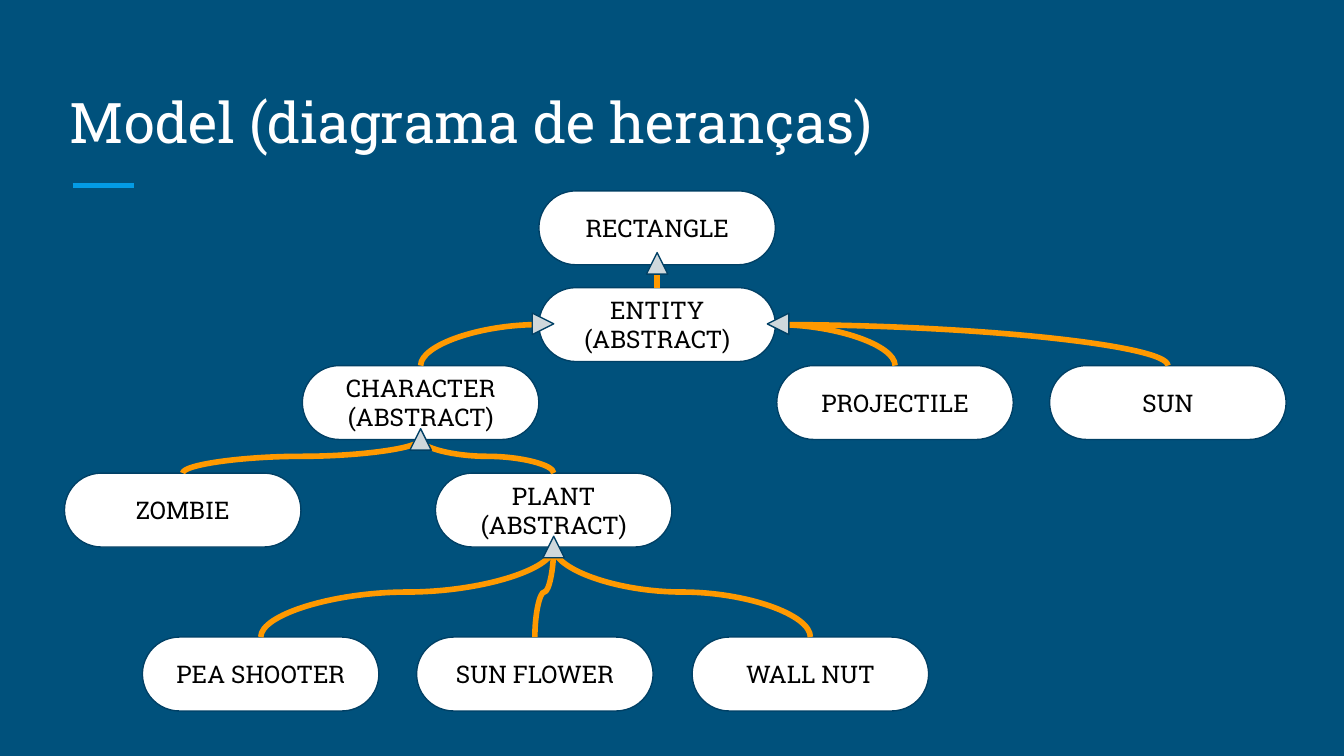
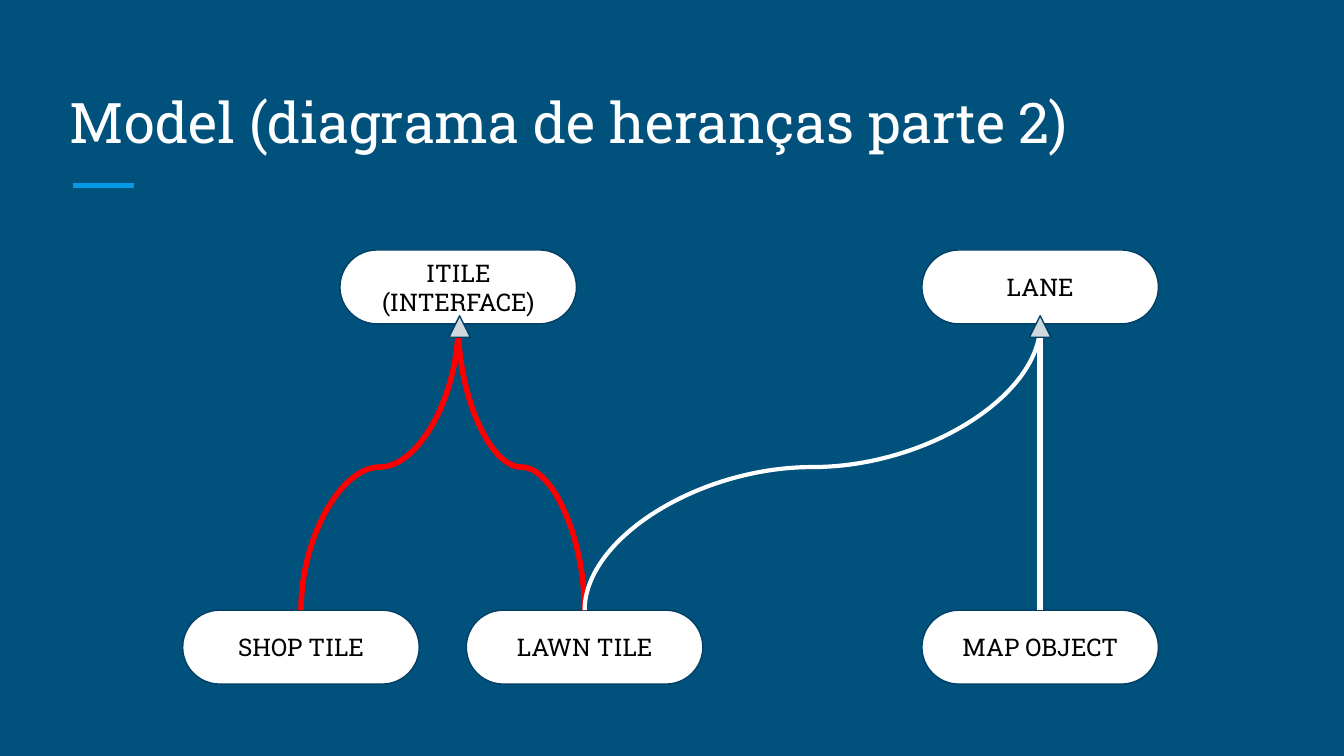
from lxml import etree
from pptx import Presentation
from pptx.dml.color import RGBColor
from pptx.enum.shapes import MSO_CONNECTOR, MSO_SHAPE
from pptx.enum.text import MSO_ANCHOR, MSO_AUTO_SIZE, PP_ALIGN
from pptx.oxml.ns import qn
from pptx.util import Inches, Pt

STRAIGHT, CURVE = MSO_CONNECTOR.STRAIGHT, MSO_CONNECTOR.CURVE
PILL, TRIANGLE = MSO_SHAPE.ROUNDED_RECTANGLE, MSO_SHAPE.ISOSCELES_TRIANGLE
LEFT, CENTER = PP_ALIGN.LEFT, PP_ALIGN.CENTER
MIDDLE, BOTTOM = MSO_ANCHOR.MIDDLE, MSO_ANCHOR.BOTTOM
NO_AUTOFIT = MSO_AUTO_SIZE.NONE

FONT = "Roboto Slab"
NAVY = RGBColor(0x00, 0x51, 0x7C)
DARK_NAVY = RGBColor(0x00, 0x40, 0x65)
SKY = RGBColor(0x03, 0x9B, 0xE5)
ORANGE = RGBColor(0xFF, 0x99, 0x00)
RED = RGBColor(0xFF, 0x00, 0x00)
GRAY = RGBColor(0xCF, 0xD8, 0xDC)
WHITE = RGBColor(0xFF, 0xFF, 0xFF)
BLACK = RGBColor(0x00, 0x00, 0x00)

PILL_WIDTH, PILL_HEIGHT = 1.76, 0.55
ARROW_SIZE = 0.16
SIDE_TOP, SIDE_LEFT, SIDE_BOTTOM, SIDE_RIGHT = range(4)

DIAGRAMS = [
    {
        "title": "Model (diagrama de heranças)",
        "classes": {
            "RECTANGLE": (4.01, 1.42),
            "ENTITY (ABSTRACT)": (4.01, 2.14),
            "CHARACTER (ABSTRACT)": (2.25, 2.72),
            "PLANT (ABSTRACT)": (3.24, 3.52),
            "ZOMBIE": (0.48, 3.52),
            "PROJECTILE": (5.78, 2.72),
            "SUN": (7.81, 2.72),
            "PEA SHOOTER": (1.06, 4.74),
            "SUN FLOWER": (3.1, 4.74),
            "WALL NUT": (5.15, 4.74),
        },
        "links": [
            ("CHARACTER (ABSTRACT)", "ENTITY (ABSTRACT)", SIDE_LEFT, ORANGE, 3),
            ("ENTITY (ABSTRACT)", "RECTANGLE", SIDE_BOTTOM, ORANGE, 3),
            ("PROJECTILE", "ENTITY (ABSTRACT)", SIDE_RIGHT, ORANGE, 3),
            ("SUN", "ENTITY (ABSTRACT)", SIDE_RIGHT, ORANGE, 3),
            ("WALL NUT", "PLANT (ABSTRACT)", SIDE_BOTTOM, ORANGE, 3),
            ("SUN FLOWER", "PLANT (ABSTRACT)", SIDE_BOTTOM, ORANGE, 3),
            ("PEA SHOOTER", "PLANT (ABSTRACT)", SIDE_BOTTOM, ORANGE, 3),
            ("ZOMBIE", "CHARACTER (ABSTRACT)", SIDE_BOTTOM, ORANGE, 3),
            ("PLANT (ABSTRACT)", "CHARACTER (ABSTRACT)", SIDE_BOTTOM, ORANGE, 3),
        ],
        "arrows": [(4.81, 1.88, 0), (3.05, 3.19, 0), (4.04, 3.99, 0),
                   (3.96, 2.33, 90), (5.71, 2.33, 270)],
    },
    {
        "title": "Model (diagrama de heranças parte 2)",
        "classes": {
            "SHOP TILE": (1.36, 4.54),
            "MAP OBJECT": (6.86, 4.54),
            "LAWN TILE": (3.47, 4.54),
            "LANE": (6.86, 1.86),
            "ITILE\n(INTERFACE)": (2.53, 1.86),
        },
        "links": [
            ("LAWN TILE", "ITILE\n(INTERFACE)", SIDE_BOTTOM, RED, 3),
            ("SHOP TILE", "ITILE\n(INTERFACE)", SIDE_BOTTOM, RED, 3),
            ("LAWN TILE", "LANE", SIDE_BOTTOM, WHITE, 2.25),
            ("MAP OBJECT", "LANE", SIDE_BOTTOM, WHITE, 3),
        ],
        "arrows": [(3.34, 2.35, 0), (7.66, 2.35, 0)],
    },
]


def write_text(shape, text, size, color, align, anchor):
    frame = shape.text_frame
    frame.text = text
    frame.word_wrap = True
    frame.auto_size = NO_AUTOFIT
    frame.vertical_anchor = anchor
    frame.margin_left = frame.margin_right = Inches(0.1)
    frame.margin_top = frame.margin_bottom = Inches(0.1)
    for paragraph in frame.paragraphs:
        paragraph.alignment = align
        for run in paragraph.runs:
            run.font.name = FONT
            run.font.size = Pt(size)
            run.font.color.rgb = color


def paint(shape, line, width, fill=None):
    if fill is not None:
        shape.fill.solid()
        shape.fill.fore_color.rgb = fill
    shape.line.color.rgb = line
    shape.line.width = Pt(width)
    etree.SubElement(shape._element.spPr, qn("a:effectLst"))


presentation = Presentation()
presentation.slide_width = Inches(10)
presentation.slide_height = presentation.slide_width * 9 // 16
background = presentation.slide_master.background.fill
background.solid()
background.fore_color.rgb = NAVY
layout = presentation.slide_layouts[5]

for diagram in DIAGRAMS:
    slide = presentation.slides.add_slide(layout)
    shapes = slide.shapes

    title = shapes.title
    title.left, title.top = Inches(0.42), Inches(0.5)
    title.width, title.height = Inches(9.15), Inches(0.75)
    write_text(title, diagram["title"], size=30, color=WHITE, align=LEFT, anchor=BOTTOM)

    pills = {}
    for name, (left, top) in diagram["classes"].items():
        pill = shapes.add_shape(PILL, Inches(left), Inches(top),
                                Inches(PILL_WIDTH), Inches(PILL_HEIGHT))
        pill.adjustments[0] = 0.5
        paint(pill, DARK_NAVY, 0.75, fill=WHITE)
        write_text(pill, name, size=13, color=BLACK, align=CENTER, anchor=MIDDLE)
        pills[name] = pill

    for child, parent, side, color, width in diagram["links"]:
        link = shapes.add_connector(CURVE, 0, 0, 0, 0)
        link.begin_connect(pills[child], SIDE_TOP)
        link.end_connect(pills[parent], side)
        start_x, start_y, end_x, end_y = link.begin_x, link.begin_y, link.end_x, link.end_y
        rise, span = abs(end_y - start_y), abs(end_x - start_x)
        link.left = (start_x + end_x - rise) // 2
        link.top = (start_y + end_y - span) // 2
        link.width, link.height = rise, span
        link.rotation = 270 if end_x > start_x else 90
        properties = link._element.spPr
        properties.find(qn("a:xfrm")).attrib.pop("flipV", None)
        if side != SIDE_BOTTOM:
            properties.find(qn("a:prstGeom")).set("prst", "curvedConnector2")
        paint(link, color, width)

    for left, top, rotation in diagram["arrows"]:
        arrow = shapes.add_shape(TRIANGLE, Inches(left), Inches(top),
                                 Inches(ARROW_SIZE), Inches(ARROW_SIZE))
        arrow.rotation = rotation
        paint(arrow, DARK_NAVY, 0.75, fill=GRAY)

accent = shapes.add_connector(STRAIGHT, Inches(0.54), Inches(1.38), Inches(1), Inches(1.38))
paint(accent, SKY, 3)
layout.shapes._spTree.append(accent._element)

presentation.save("out.pptx")
